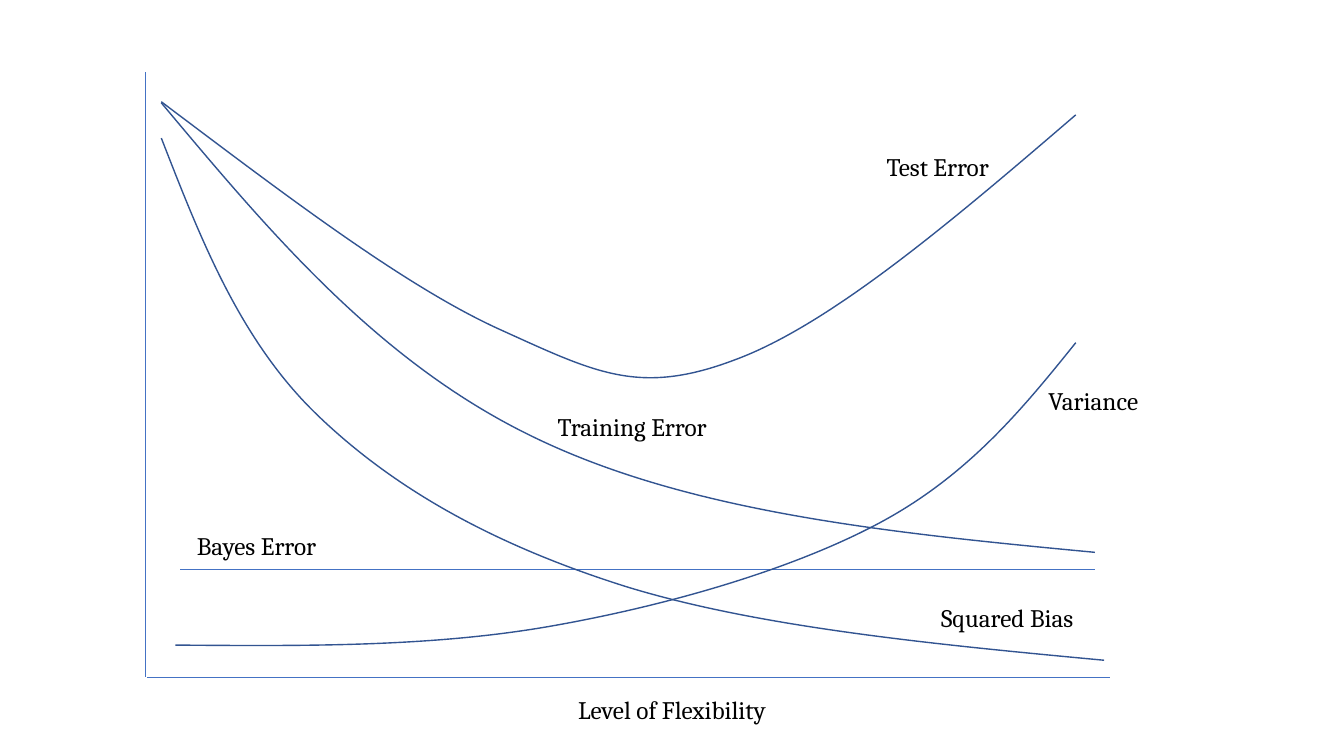
from lxml.etree import SubElement
from pptx import Presentation
from pptx.dml.color import RGBColor
from pptx.enum.shapes import MSO_CONNECTOR
from pptx.enum.text import MSO_AUTO_SIZE, PP_ALIGN
from pptx.oxml.ns import qn
from pptx.util import Inches, Pt

COLORS = {"axis": "4472C4", "curve": "325491", "text": "000000"}
FONT = "Cambria"
CELL = Inches(0.01)
COLUMNS, ROWS = 1333, 750
LABEL_ROWS = 40
STEPS = 50

AXIS_LEFT, AXIS_TOP, AXIS_RIGHT, AXIS_BOTTOM = 144.6, 71.6, 1101, 672
BAYES_ROW = 565

STRAIGHT_LINES = [
    ((AXIS_LEFT, AXIS_TOP), (AXIS_LEFT, AXIS_BOTTOM)),
    ((AXIS_LEFT + 1, AXIS_BOTTOM), (AXIS_RIGHT, AXIS_BOTTOM)),
    ((179, BAYES_ROW), (1086, BAYES_ROW)),
]

SQUARED_BIAS = [
    (160, 137), (199, 237), (238, 338), (315, 412), (392, 486),
    (491, 541), (621, 582), (751, 622), (923, 639), (1095, 655),
]
VARIANCE = [
    (174, 640), (300, 641), (425, 642), (542, 622), (658, 602),
    (784, 566), (872, 519), (960, 472), (1014, 406), (1067, 340),
]
TRAINING_ERROR = [
    (160, 102), (268, 231), (376, 360), (530, 434),
    (685, 509), (885, 529), (1086, 548),
]
TEST_ERROR = [
    (160, 101), (281, 192), (401, 284), (496, 327), (591, 370),
    (634, 393), (729, 357), (824, 322), (946, 218), (1067, 114),
]
CURVES = [SQUARED_BIAS, VARIANCE, TRAINING_ERROR, TEST_ERROR]

LABELS = [
    ("Squared Bias", 904, 593, 190),
    ("Level of Flexibility", 478, 684, 377),
    ("Variance", 966, 377, 237),
    ("Training Error", 518, 403, 218),
    ("Test Error", 821, 145, 218),
    ("Bayes Error", 171, 521, 167),
]


def color(name):
    return RGBColor.from_string(COLORS[name])


def add_straight_line(page, start, end):
    ends = [round(CELL * value) for value in (*start, *end)]
    line = page.shapes.add_connector(MSO_CONNECTOR.STRAIGHT, *ends)
    line.line.color.rgb = color("axis")
    line.line.width = Pt(0.5)
    SubElement(line._element.spPr, qn("a:effectLst"))


def lowest_row(points):
    rows = [row for column, row in points]
    shares = [step / STEPS for step in range(STEPS + 1)]
    return round(max(
        a * (1 - t) ** 3 + 3 * b * t * (1 - t) ** 2 + 3 * c * t ** 2 * (1 - t) + d * t ** 3
        for a, b, c, d in zip(rows[::3], rows[1::3], rows[2::3], rows[3::3])
        for t in shares
    ))


def add_curve(page, points):
    builder = page.shapes.build_freeform(*points[0], scale=CELL)
    builder.add_line_segments(points[1:], close=False)
    curve = builder.convert_to_shape()
    curve.shadow.inherit = False
    curve.fill.background()
    curve.line.color.rgb = color("curve")
    curve.line.width = Pt(1)
    outline = curve._element.spPr.find(".//" + qn("a:path"))
    segments = outline.findall(qn("a:lnTo"))
    for first in range(0, len(segments), 3):
        bezier = SubElement(outline, qn("a:cubicBezTo"))
        for segment in segments[first:first + 3]:
            bezier.append(segment[0])
            outline.remove(segment)
    height = lowest_row(points) - min(row for column, row in points)
    outline.set("h", str(height))
    curve.height = CELL * height


def add_label(page, text, left, top, width):
    box = page.shapes.add_textbox(*(CELL * value for value in (left, top, width, LABEL_ROWS)))
    frame = box.text_frame
    frame.word_wrap = True
    frame.auto_size = MSO_AUTO_SIZE.SHAPE_TO_FIT_TEXT
    frame.text = text
    paragraph = frame.paragraphs[0]
    paragraph.alignment = PP_ALIGN.CENTER
    span = paragraph.runs[0]
    span.font.name = FONT
    span.font.size = Pt(18)
    span.font.color.rgb = color("text")


deck = Presentation()
deck.slide_width = CELL * COLUMNS
deck.slide_height = CELL * ROWS
page = deck.slides.add_slide(deck.slide_layouts[6])

for start, end in STRAIGHT_LINES:
    add_straight_line(page, start, end)
for points in CURVES:
    add_curve(page, points)
for label in LABELS:
    add_label(page, *label)

deck.save("out.pptx")
